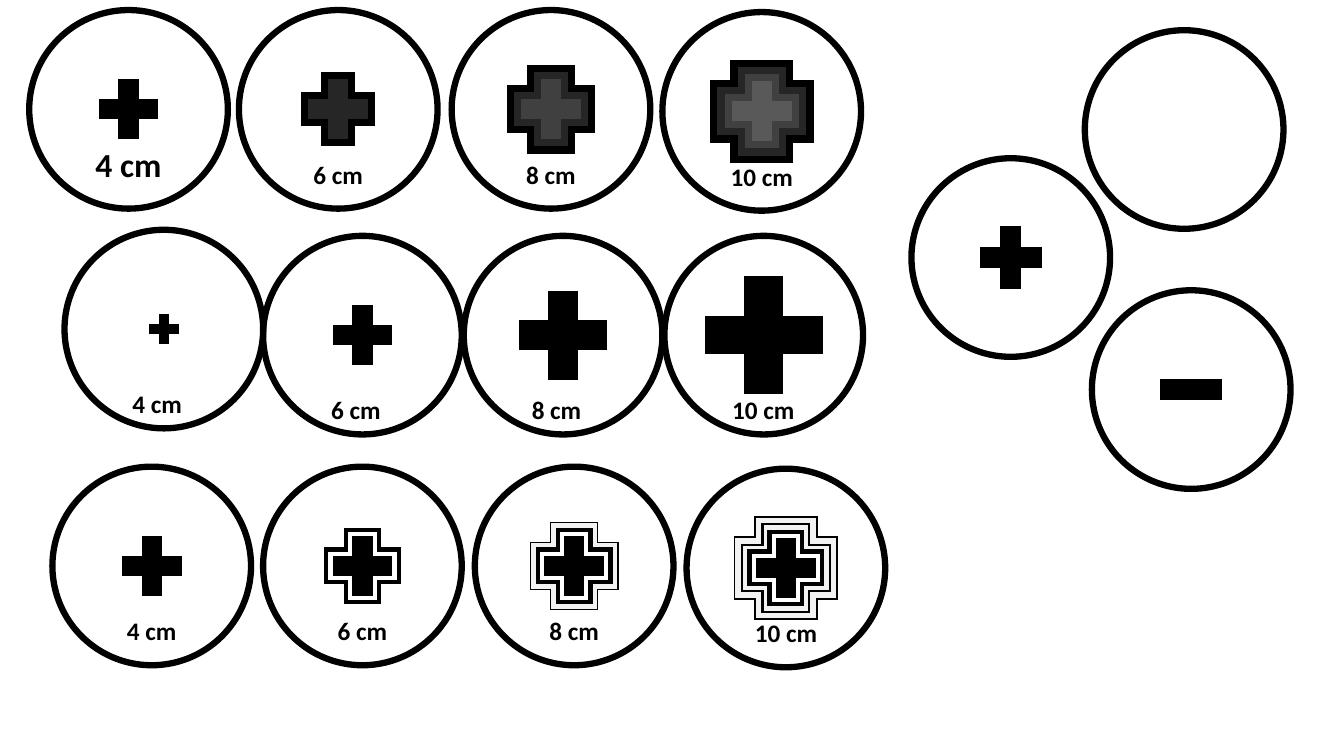
import lxml.etree
import pptx
import pptx.dml.color
import pptx.enum.shapes
import pptx.enum.text
import pptx.oxml.ns
import pptx.util

Inches = pptx.util.Inches
Shape = pptx.enum.shapes.MSO_SHAPE
DIAMETER = 1.97
BLACK, WHITE, PALE = "000000", "FFFFFF", "F2F2F2"
SIZES = ["4 cm", "6 cm", "8 cm", "10 cm"]
# Sizes and arm thicknesses of nested crosses, from the innermost outward.
NESTED = [(0.79, 0.235), (0.98, 0.332), (1.18, 0.394), (1.38, 0.444)]


def colour(value):
    return pptx.dml.color.RGBColor.from_string(value)


def add_symbol(slide, kind, center, size, fill=BLACK, line=BLACK, width=1):
    """Place a square-framed shape around its center point."""
    x, y = center
    shape = slide.shapes.add_shape(kind, Inches(x - size / 2), Inches(y - size / 2),
                                   Inches(size), Inches(size))
    shape.shadow.inherit = False
    shape.fill.solid()
    shape.fill.fore_color.rgb = colour(fill)
    shape.line.color.rgb = colour(line)
    shape.line.width = pptx.util.Pt(width)
    outline = shape.element.spPr.find(pptx.oxml.ns.qn("a:ln"))
    lxml.etree.SubElement(outline, pptx.oxml.ns.qn("a:miter"), lim="800000")
    return shape


def add_cross(slide, center, size, thickness=0.235, **style):
    cross = add_symbol(slide, Shape.MATH_PLUS, center, size, **style)
    cross.adjustments[0] = thickness


def add_disc(slide, left, top):
    """Draw an outlined circle and return its center."""
    center = (left + DIAMETER / 2, top + DIAMETER / 2)
    add_symbol(slide, Shape.OVAL, center, DIAMETER, fill=WHITE, width=4.5)
    return center


def add_label(slide, text, center_x, top, size=18):
    width, height = (0.86, 0.5) if size > 18 else (0.82 if len(text) > 4 else 0.7, 0.4)
    box = slide.shapes.add_textbox(Inches(center_x - width / 2), Inches(top),
                                   Inches(width), Inches(height))
    box.text_frame.word_wrap = False
    para = box.text_frame.paragraphs[0]
    para.text = text
    para.alignment = pptx.enum.text.PP_ALIGN.CENTER
    para.font.name = "Calibri"
    para.font.size = pptx.util.Pt(size)
    para.font.bold = True
    para.font.color.rgb = colour(BLACK)


def add_shaded_row(slide, places):
    """Nested crosses that grow lighter toward the middle."""
    shades = [BLACK, "262626", "404040", "595959"]
    for level, (left, top) in reversed(list(enumerate(places))):
        center = add_disc(slide, left, top)
        first = level == 0
        add_label(slide, SIZES[level], center[0], top + (1.28 if first else 1.43),
                  24 if first else 18)
        for (size, thickness), shade in zip(reversed(NESTED[:level + 1]), shades):
            add_cross(slide, center, size, thickness, fill=shade, line=shade)


def add_scaled_row(slide, places):
    """Single crosses that grow with the stated size."""
    cross_sizes = [0.39, 0.79, 1.18, 1.57]
    for level, (left, top) in reversed(list(enumerate(places))):
        center = add_disc(slide, left, top)
        label_center = left + (0.98 if level == 3 else 0.92)
        add_label(slide, SIZES[level], label_center, top + 1.52)
        add_cross(slide, center, cross_sizes[level])


def add_outlined_row(slide, places):
    """A black cross surrounded by ever thinner outlines."""
    styles = [(BLACK, 1), (WHITE, 3), (PALE, 1.5), (PALE, 1)]
    for level, (left, top) in reversed(list(enumerate(places))):
        center = add_disc(slide, left, top)
        add_label(slide, SIZES[level], center[0], top + 1.43)
        for ring in range(level, -1, -1):
            fill, width = styles[ring]
            if ring == level and ring == 2:
                width = 1
            add_cross(slide, center, *NESTED[ring], fill=fill, width=width)


def add_sign_discs(slide, left, top):
    """Blank, plus and minus discs."""
    add_disc(slide, left + 1.72, top)
    add_cross(slide, add_disc(slide, left, top + 1.27), 0.82)
    minus_center = add_disc(slide, left + 1.79, top + 2.58)
    add_symbol(slide, Shape.MATH_MINUS, minus_center, 0.82)


def main():
    deck = pptx.Presentation()
    deck.slide_width, deck.slide_height = Inches(13.33), Inches(7.5)
    slide = deck.slides.add_slide(deck.slide_layouts[6])
    add_sign_discs(slide, 9.04, 0.3)
    add_shaded_row(slide, [(0.29, 0.1), (2.37, 0.1), (4.48, 0.1), (6.57, 0.12)])
    add_scaled_row(slide, [(0.64, 2.28), (2.61, 2.34), (4.6, 2.34), (6.59, 2.34)])
    add_outlined_row(slide, [(0.52, 4.63), (2.61, 4.63), (4.71, 4.63), (6.81, 4.65)])
    deck.save("out.pptx")


if __name__ == "__main__":
    main()
